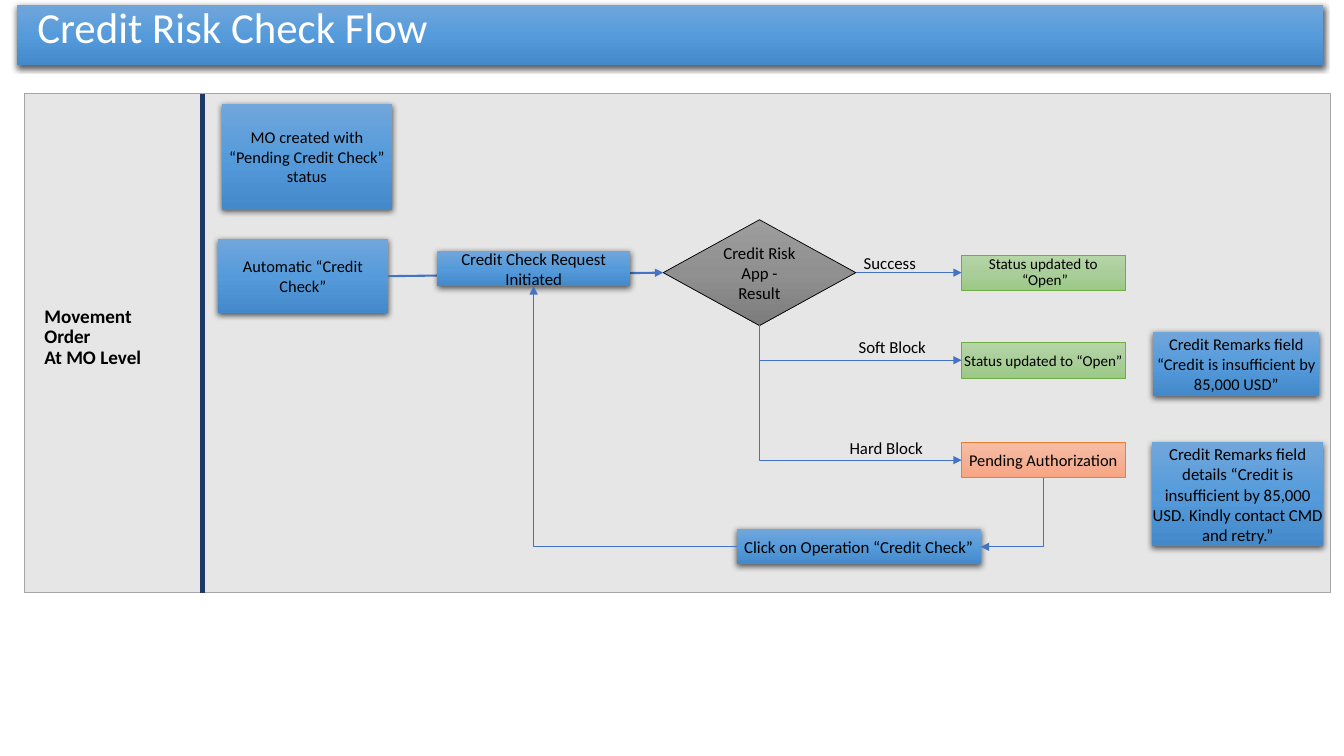
from dataclasses import dataclass

from lxml import etree
from pptx import Presentation
from pptx import util as u
from pptx.dml.color import RGBColor
from pptx.enum import shapes, text
from pptx.oxml.ns import qn

COLUMNS, ROWS = 160, 90
CELL = u.Inches(7.5) / ROWS
TOP, LEFT, BOTTOM, RIGHT = range(4)


@dataclass(frozen=True)
class Theme:
    font: str = "Calibri"
    ink: str = "000000"
    white: str = "FFFFFF"
    lane: str = "E7E6E6"
    lane_edge: str = "A5A5A5"
    divider: str = "203864"
    arrow: str = "4472C4"
    green_edge: str = "70AD47"
    orange_edge: str = "ED7D31"
    blue: tuple = ("71A6DB", "559BDB", "448ACA")
    green: tuple = ("B5D5A7", "AACE9A", "9CC987")
    orange: tuple = ("F7BDA5", "F5B196", "F8A582")
    gray: tuple = ("9D9D9D", "909090", "7C7C7C")
    title_size: float = 30.6
    lane_size: float = 13.7
    large: float = 12
    body: float = 11.7
    small: float = 10.8
    thin: float = 0.5
    medium: float = 1.5
    thick: float = 3


THEME = Theme()


def grid(*cells):
    return [round(cell * CELL) for cell in cells]


def add_xml(parent, tag, **attributes):
    return etree.SubElement(parent, qn(tag), {key: str(value) for key, value in attributes.items()})


def paint(shape, fill):
    if isinstance(fill, str):
        shape.fill.solid()
        shape.fill.fore_color.rgb = RGBColor.from_string(fill)
        return
    shape.fill.gradient()
    shape.fill.gradient_angle = 270
    stops = shape._element.spPr.find(qn("a:gradFill")).find(qn("a:gsLst"))
    for stop in list(stops):
        stops.remove(stop)
    for index, color in enumerate(fill):
        stop = add_xml(stops, "a:gs", pos=index * 50000)
        add_xml(stop, "a:srgbClr", val=color)


def add_shadow(shape):
    effects = shape._element.spPr.find(qn("a:effectLst"))
    shadow = add_xml(effects, "a:outerShdw", blurRad=u.Pt(4.5), dist=u.Pt(1.5),
                     dir=5400000, algn="ctr", rotWithShape=0)
    color = add_xml(shadow, "a:srgbClr", val="000000")
    add_xml(color, "a:alpha", val=63000)


def write(shape, words, size, color=THEME.ink, align=text.PP_ALIGN.CENTER,
          bold=False, spacing=None, insets=None):
    frame = shape.text_frame
    frame.word_wrap = True
    if insets is not None:
        frame.margin_left, frame.margin_top, frame.margin_right, frame.margin_bottom = map(u.Inches, insets)
    frame.text = words
    for paragraph in frame.paragraphs:
        paragraph.alignment = align
        if spacing:
            paragraph.line_spacing = spacing
        for run in paragraph.runs:
            run.font.name = THEME.font
            run.font.size = u.Pt(size)
            run.font.bold = bold
            run.font.color.rgb = RGBColor.from_string(color)


def add_box(slide, place, words, size, fill=THEME.blue, edge=None,
            kind=shapes.MSO_SHAPE.RECTANGLE, insets=(0, 0, 0, 0), **style):
    shape = slide.shapes.add_shape(kind, *grid(*place))
    shape.shadow.inherit = False
    paint(shape, fill)
    if edge:
        shape.line.color.rgb = RGBColor.from_string(edge)
        shape.line.width = u.Pt(THEME.thin)
    else:
        shape.line.fill.background()
        add_shadow(shape)
    shape.text_frame.vertical_anchor = text.MSO_ANCHOR.MIDDLE
    write(shape, words, size, insets=insets, **style)
    return shape


def add_banner(slide, place, words, size, **style):
    return add_box(slide, place, words, size, insets=(0.2, 0.05, 0.2, 0.16),
                   align=text.PP_ALIGN.LEFT, spacing=0.9, **style)


def add_label(slide, left, top, words):
    label = slide.shapes.add_textbox(*grid(left, top, 13.08, 3.6))
    write(label, words, THEME.large, align=text.PP_ALIGN.LEFT)


def add_line(slide, kind, ends, color, width):
    line = slide.shapes.add_connector(kind, *grid(*ends))
    line.line.color.rgb = RGBColor.from_string(color)
    line.line.width = u.Pt(width)
    add_xml(line._element.spPr, "a:effectLst")
    return line


def join(slide, source, source_side, target, target_side,
         width=THEME.thin, bent=False, arrow="a:tailEnd"):
    kind = shapes.MSO_CONNECTOR.ELBOW if bent else shapes.MSO_CONNECTOR.STRAIGHT
    line = add_line(slide, kind, (0, 0, 0, 0), THEME.arrow, width)
    line.begin_connect(source, source_side)
    line.end_connect(target, target_side)
    if bent:
        line._element.spPr.find(qn("a:prstGeom")).set("prst", "bentConnector2")
    add_xml(line.line._get_or_add_ln(), arrow, type="triangle")


def join_down(slide, source, target, target_side):
    join(slide, target, target_side, source, BOTTOM, bent=True, arrow="a:headEnd")


def add_outcome(slide, top, words, size, fill, edge, **style):
    return add_box(slide, (114.48, top, 19.44, 4.2), words, size, fill, edge, **style)


def main():
    presentation = Presentation()
    presentation.slide_width, presentation.slide_height = grid(COLUMNS, ROWS)
    slide = presentation.slides.add_slide(presentation.slide_layouts[6])

    add_banner(slide, (2.88, 11.16, 155.52, 59.4), "Movement\nOrder\nAt MO Level",
               THEME.lane_size, fill=THEME.lane, edge=THEME.lane_edge, bold=True)
    add_banner(slide, (2.04, 0.6, 155.52, 7.2), "Credit Risk Check Flow",
               THEME.title_size, color=THEME.white)
    add_line(slide, shapes.MSO_CONNECTOR.STRAIGHT, (24.12, 11.16, 24.12, 70.56),
             THEME.divider, THEME.thick)

    success = add_outcome(slide, 30.36, "Status updated to\n “Open”", THEME.small,
                          THEME.green, THEME.green_edge, spacing=0.9)
    soft = add_outcome(slide, 40.8, "Status updated to “Open”", THEME.small,
                       THEME.green, THEME.green_edge)
    hard = add_outcome(slide, 52.68, "Pending Authorization", THEME.body,
                       THEME.orange, THEME.orange_edge)

    add_box(slide, (26.4, 12.36, 20.28, 12.6),
            "MO created with “Pending Credit Check” status", THEME.body)
    automatic = add_box(slide, (25.92, 28.44, 20.28, 8.88), "Automatic “Credit Check”", THEME.body)
    decision = add_box(slide, (78.96, 26.16, 22.92, 12.6), "Credit Risk App - Result",
                       THEME.large, THEME.gray, THEME.ink,
                       kind=shapes.MSO_SHAPE.DIAMOND, insets=None)
    join(slide, automatic, RIGHT, decision, LEFT, THEME.medium)
    request = add_box(slide, (52.08, 29.88, 22.92, 4.2), "Credit Check Request Initiated", THEME.large)
    operation = add_box(slide, (87.72, 63, 29.04, 4.2), "Click on Operation “Credit Check”", THEME.large)

    add_box(slide, (137.28, 39.48, 19.8, 7.68),
            "Credit Remarks field “Credit is insufficient by 85,000 USD”", THEME.body)
    add_box(slide, (137.16, 52.68, 20.4, 12.36),
            "Credit Remarks field details “Credit is insufficient by 85,000 USD. "
            "Kindly contact CMD and retry.”", THEME.large)

    join(slide, decision, RIGHT, success, LEFT)
    join_down(slide, decision, soft, LEFT)
    join_down(slide, decision, hard, LEFT)
    join_down(slide, hard, operation, RIGHT)
    join(slide, operation, LEFT, request, BOTTOM, bent=True)

    for left, top, words in ((101.64, 29.52, "Success"),
                             (101.04, 39.48, "Soft Block"),
                             (99.96, 51.48, "Hard Block")):
        add_label(slide, left, top, words)

    presentation.save("out.pptx")


if __name__ == "__main__":
    main()
